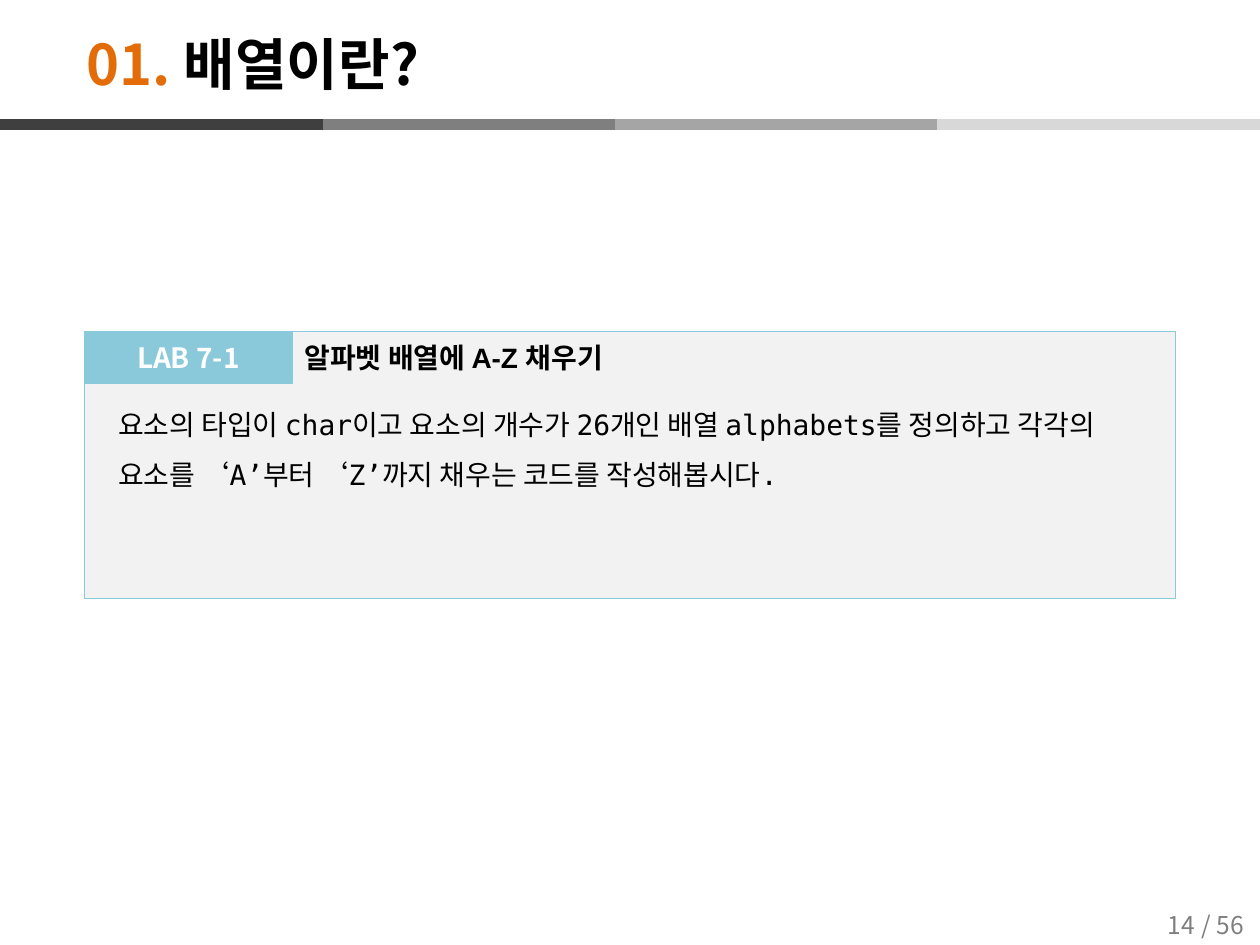
from lxml import etree
from pptx import Presentation
from pptx import util as u
from pptx.dml.color import RGBColor
from pptx.enum import shapes, text
from pptx.oxml.ns import qn

BLACK = RGBColor(0x00, 0x00, 0x00)
WHITE = RGBColor(0xFF, 0xFF, 0xFF)
ORANGE = RGBColor(0xE3, 0x6C, 0x09)
GRAY = RGBColor(0x7F, 0x7F, 0x7F)
PANEL = RGBColor(0xF2, 0xF2, 0xF2)
AQUA = RGBColor(0x8A, 0xC9, 0xDA)
BAR_DARK = RGBColor(0x3F, 0x3F, 0x3F)
BAR_MID = RGBColor(0xA5, 0xA5, 0xA5)
BAR_LIGHT = RGBColor(0xD8, 0xD8, 0xD8)

SANS, MONO, LATIN = "Noto Sans CJK KR", "DejaVu Sans Mono", "Arial"
COLS, ROWS = 100, 75  # grid over the whole slide
LEFT, CENTER = text.PP_ALIGN.LEFT, text.PP_ALIGN.CENTER
TOP, MIDDLE = text.MSO_ANCHOR.TOP, text.MSO_ANCHOR.MIDDLE


def add_run(p, content, size=16, font=SANS, color=BLACK, bold=False):
    r = p.add_run()
    r.text = content
    r.font.size = u.Pt(size)
    r.font.bold = bold
    r.font.color.rgb = color
    r.font.name = font
    # Korean glyphs always come from the sans face
    etree.SubElement(r.font._element, qn("a:ea")).set("typeface", SANS)


class Deck:
    def __init__(self, width=10, height=7.5):
        self.prs = Presentation()
        self.prs.slide_width = u.Inches(width)
        self.prs.slide_height = u.Inches(height)
        self.s = self.prs.slides.add_slide(self.prs.slide_layouts[6])

    def x(self, col):
        return round(self.prs.slide_width * col / COLS)

    def y(self, row):
        return round(self.prs.slide_height * row / ROWS)

    def box(self, col, row, cols, rows):
        return self.x(col), self.y(row), self.x(cols), self.y(rows)

    def bar(self, col, row, cols, color, width=6):
        sp = self.s.shapes.add_connector(
            shapes.MSO_CONNECTOR.STRAIGHT,
            self.x(col), self.y(row), self.x(col + cols), self.y(row))
        sp.line.color.rgb = color
        sp.line.width = u.Pt(width)
        etree.SubElement(sp._element.spPr, qn("a:effectLst"))

    def rect(self, *cells, fill, line, width=1):
        sp = self.s.shapes.add_shape(shapes.MSO_SHAPE.RECTANGLE, *self.box(*cells))
        sp.shadow.inherit = False
        sp.fill.solid()
        sp.fill.fore_color.rgb = fill
        sp.line.color.rgb = line
        sp.line.width = u.Pt(width)
        return sp

    def fill_text(self, sp, *runs, align=LEFT, anchor=TOP, spacing=1.0):
        tf = sp.text_frame
        tf.word_wrap = True
        tf.vertical_anchor = anchor
        p = tf.paragraphs[0]
        p.alignment = align
        p.line_spacing = spacing
        for content, style in runs:
            add_run(p, content, **style)

    def label(self, *cells, runs, **layout):
        sp = self.s.shapes.add_textbox(*self.box(*cells))
        self.fill_text(sp, *runs, **layout)


def main():
    d = Deck()

    # Divider: the dark first bar overlaps the start of the second
    bar = 25.6
    for i, color in enumerate((GRAY, BAR_MID, BAR_LIGHT)):
        d.bar(COLS - (3 - i) * bar, 9.9, bar, color)
    d.bar(0, 9.9, bar, BAR_DARK)

    # Page number
    for col, content in ((93.5, "/ 56"), (90.2, "14")):
        d.label(col, 71.4, 7.1, 3.9, runs=[(content, dict(size=14, color=GRAY))],
                align=CENTER, anchor=MIDDLE)

    # Title
    head = dict(size=32, bold=True)
    d.label(5.9, 2, 74.8, 6, anchor=MIDDLE,
            runs=[("01. ", dict(head, color=ORANGE)), ("배열이란?", head)])

    # Lab panel with its tag, heading and task
    d.rect(6.7, 26.3, 86.6, 21.2, fill=PANEL, line=AQUA)
    tag = d.rect(6.7, 26.3, 16.5, 4.1, fill=AQUA, line=AQUA, width=0.75)
    d.fill_text(tag, ("LAB 7-1", dict(color=WHITE, bold=True)),
                align=CENTER, anchor=MIDDLE)
    d.label(23.2, 26.5, 69.6, 3.7,
            runs=[("알파벳 배열에 A-Z 채우기", dict(font=LATIN, bold=True))])
    task = ("요소의 타입이 char이고 요소의 개수가 26개인 배열 alphabets를 정의하고 "
            "각각의 요소를 ‘A’부터 ‘Z’까지 채우는 코드를 작성해봅시다.")
    d.label(8.4, 30.5, 85.1, 8.6, runs=[(task, dict(font=MONO))], spacing=1.5)

    d.prs.save("out.pptx")


if __name__ == "__main__":
    main()
